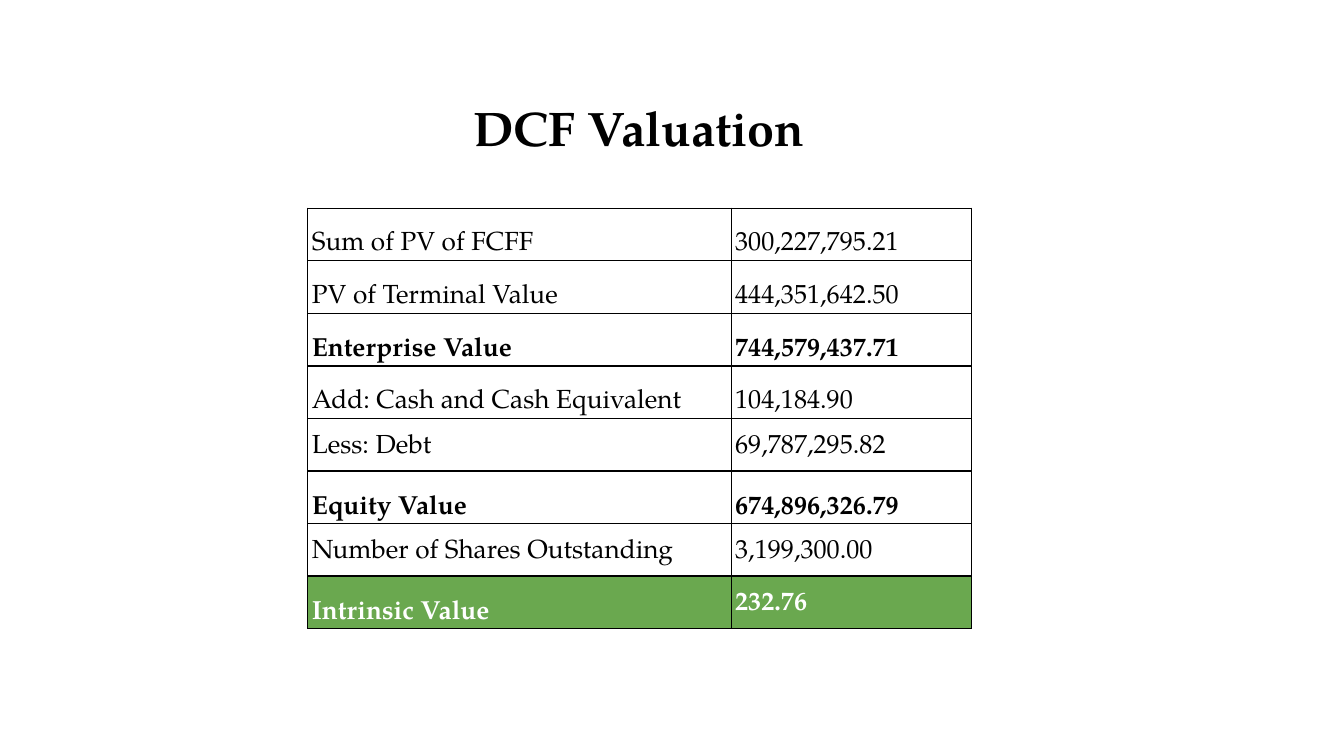
import pptx
import pptx.util
import pptx.dml.color
import pptx.enum.text
import pptx.oxml
import pptx.oxml.ns

Pt = pptx.util.Pt
ANCHOR = pptx.enum.text.MSO_ANCHOR
ALIGN = pptx.enum.text.PP_ALIGN

# Content: label, value, row kind
TITLE = "DCF Valuation"
ROWS = [
    ("Sum of PV of FCFF", "300,227,795.21", "item"),
    ("PV of Terminal Value", "444,351,642.50", "item"),
    ("Enterprise Value", "744,579,437.71", "total"),
    ("Add: Cash and Cash Equivalent", "104,184.90", "item"),
    ("Less: Debt", "69,787,295.82", "top item"),
    ("Equity Value", "674,896,326.79", "total"),
    ("Number of Shares Outstanding", "3,199,300.00", "top item"),
    ("Intrinsic Value", "232.76", "result"),
]
COLORS = {"text": "000000", "paper": "FFFFFF", "result": "6AA84F", "border": "000000"}
FONT = "TeX Gyre Pagella"
COL_WIDTHS = (226.8, 128.9)
ROW_HEIGHT = 28.17
TABLE_LEFT, TABLE_TOP = 164.9, 111.6


def rgb(name):
    return pptx.dml.color.RGBColor.from_string(COLORS[name])


def write(tf, text, size=14, color="text", bold=False, align=ALIGN.LEFT, spacing=1.0):
    p = tf.paragraphs[0]
    p.alignment = align
    p.line_spacing = spacing
    r = p.add_run()
    r.text = text
    r.font.name = FONT
    r.font.size = Pt(size)
    r.font.bold = bold
    r.font.color.rgb = rgb(color)


def add_borders(cell, width=0.75):
    tc_pr = cell._tc.get_or_add_tcPr()
    for i, side in enumerate(("lnL", "lnR", "lnT", "lnB")):
        tc_pr.insert(i, pptx.oxml.parse_xml(
            f'<a:{side} {pptx.oxml.ns.nsdecls("a")} w="{int(Pt(width))}"><a:solidFill>'
            f'<a:srgbClr val="{COLORS["border"]}"/></a:solidFill></a:{side}>'))


prs = pptx.Presentation()
prs.slide_width, prs.slide_height = Pt(720), Pt(405)
s = prs.slides.add_slide(prs.slide_layouts[5])

# Title
title = s.shapes.title
title.left, title.top, title.width, title.height = Pt(166.3), Pt(45.4), Pt(352.1), Pt(46.1)
tf = title.text_frame
tf.word_wrap = True
tf.auto_size = pptx.enum.text.MSO_AUTO_SIZE.SHAPE_TO_FIT_TEXT
tf.vertical_anchor = ANCHOR.TOP
tf.margin_left = tf.margin_right = tf.margin_top = tf.margin_bottom = Pt(7.2)
write(tf, TITLE, size=26, bold=True, align=ALIGN.CENTER)

# Valuation table
table = s.shapes.add_table(len(ROWS), len(COL_WIDTHS), Pt(TABLE_LEFT), Pt(TABLE_TOP),
                           Pt(sum(COL_WIDTHS)), Pt(ROW_HEIGHT * len(ROWS))).table
table.first_row = table.horz_banding = False
for column, width in zip(table.columns, COL_WIDTHS):
    column.width = Pt(width)

for i, (label, value, kind) in enumerate(ROWS):
    table.rows[i].height = Pt(ROW_HEIGHT)
    is_result = kind == "result"
    for j, text in enumerate((label, value)):
        cell = table.cell(i, j)
        at_top = kind == "top item" or (is_result and j == 1)
        cell.vertical_anchor = ANCHOR.TOP if at_top else ANCHOR.BOTTOM
        cell.margin_left = cell.margin_right = Pt(2.16)
        cell.margin_top = cell.margin_bottom = Pt(1.44)
        cell.fill.solid()
        cell.fill.fore_color.rgb = rgb("result" if is_result else "paper")
        add_borders(cell)
        write(cell.text_frame, text, color="paper" if is_result else "text",
              bold=kind in ("total", "result"), spacing=1.5)

prs.save("out.pptx")
